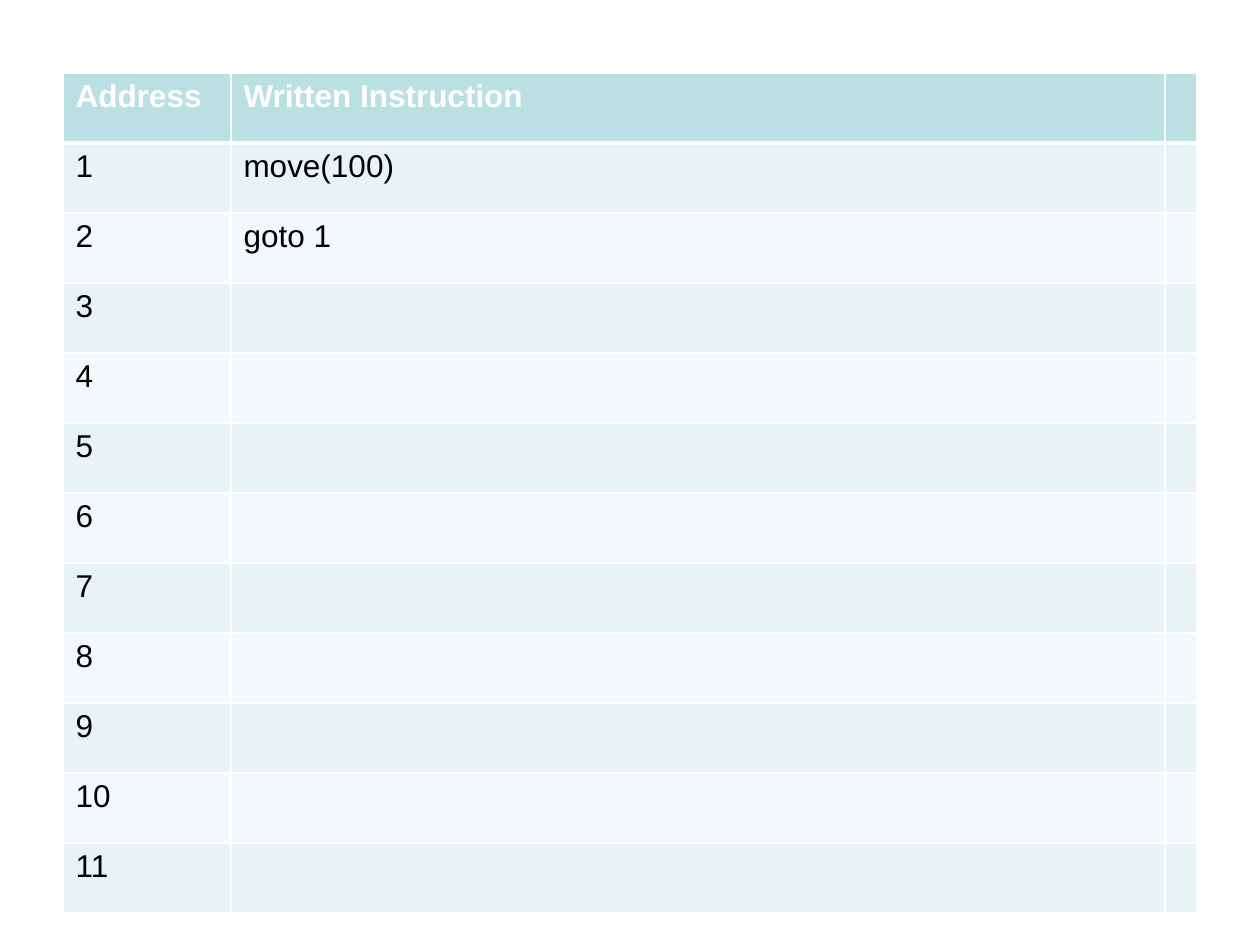
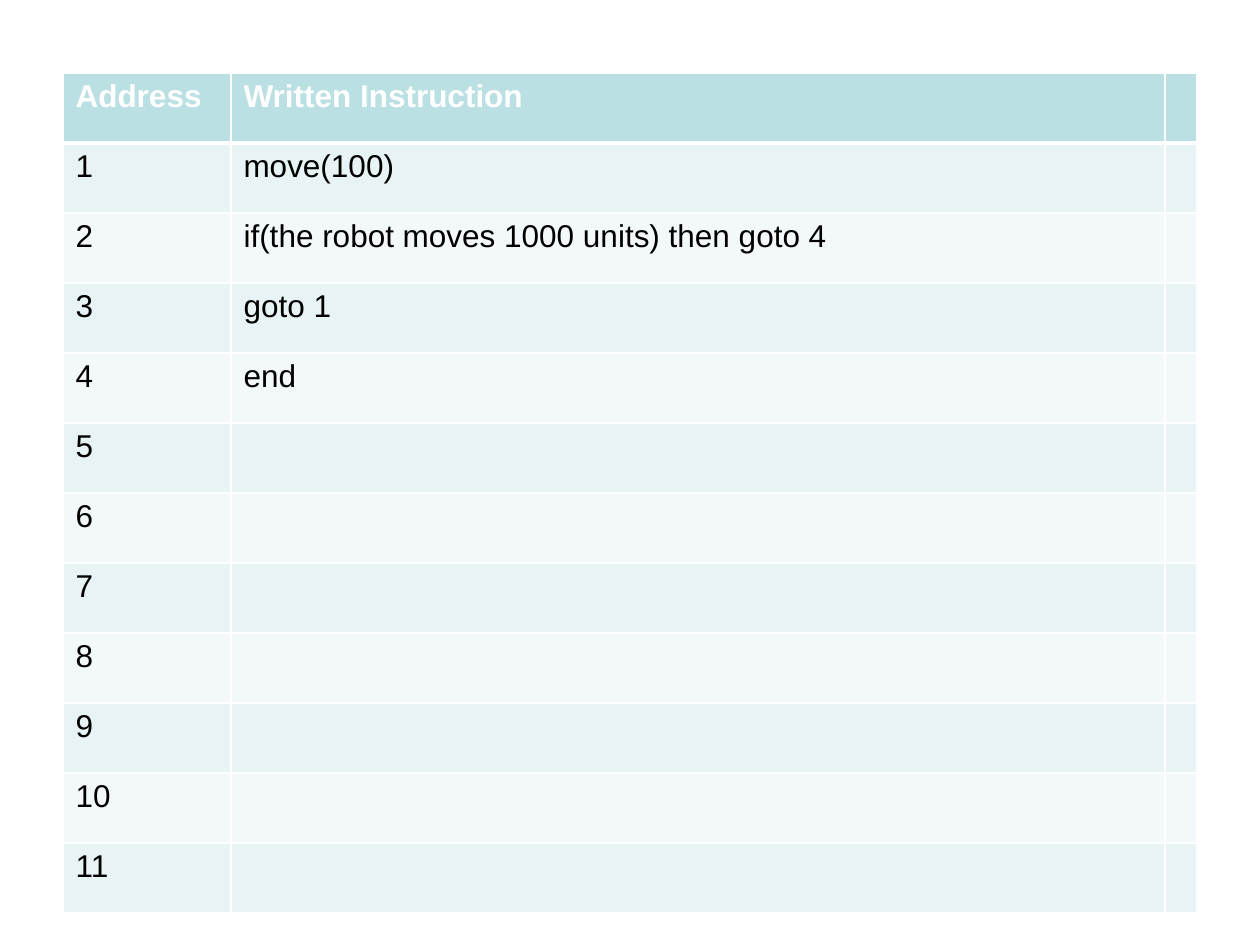
from dataclasses import dataclass

from lxml.etree import SubElement
from pptx import Presentation
from pptx.dml.color import RGBColor as Rgb
from pptx.oxml.ns import qn
from pptx.util import Pt

EMU_PER_PIXEL = 914400 / 126
ADDRESS_COUNT = 11
HEADINGS = ("Address", "Written Instruction", "")
PROGRAMS = (
    ("move(100)", "goto 1"),
    ("move(100)", "if(the robot moves 1000 units) then goto 4", "goto 1", "end"),
)


@dataclass(frozen=True)
class Theme:
    font: str = "Arial"
    text_size: int = 18
    header_text: str = "FFFFFF"
    body_text: str = "000000"
    header_fill: str = "BBE0E3"
    band_fills: tuple = ("E7F3F4", "F3F9FA")
    grid: str = "FFFFFF"
    thin: int = 1
    thick: int = 3


def px(length):
    return round(length * EMU_PER_PIXEL)


def write(frame, text, *, font, size, color, bold=False):
    run = frame.paragraphs[0].add_run()
    run.text = text
    run.font.name = font
    run.font.size = Pt(size)
    run.font.bold = bold
    run.font.color.rgb = Rgb.from_string(color)


class InstructionDeck:
    def __init__(self, theme):
        self.theme = theme
        self.deck = Presentation()
        self.deck.slide_width = px(1260)
        self.deck.slide_height = px(945)
        self.slide = None

    def add_slide(self):
        self.slide = self.deck.slides.add_slide(self.deck.slide_layouts[6])

    def draw_borders(self, cell, top, bottom):
        sides = {"L": self.theme.thin, "R": self.theme.thin, "T": top, "B": bottom}
        properties = cell._tc.get_or_add_tcPr()
        for side, width in sides.items():
            border = SubElement(properties, qn(f"a:ln{side}"), w=str(Pt(width)))
            fill = SubElement(border, qn("a:solidFill"))
            SubElement(fill, qn("a:srgbClr"), val=self.theme.grid)

    def fill_cell(self, cell, text, row):
        theme = self.theme
        is_header = row == 0
        self.draw_borders(
            cell,
            top=theme.thick if row == 1 else theme.thin,
            bottom=theme.thick if is_header else theme.thin,
        )
        background = theme.header_fill if is_header else theme.band_fills[(row - 1) % 2]
        cell.fill.solid()
        cell.fill.fore_color.rgb = Rgb.from_string(background)
        if text:
            write(
                cell.text_frame, text, font=theme.font, size=theme.text_size,
                color=theme.header_text if is_header else theme.body_text,
                bold=is_header,
            )

    def add_listing(self, records, left, top, column_widths, row_height):
        listing = self.slide.shapes.add_table(
            len(records), len(column_widths), px(left), px(top),
            px(sum(column_widths)), px(row_height * len(records)),
        ).table
        for column, width in zip(listing.columns, column_widths):
            column.width = px(width)
        for row, record in enumerate(records):
            listing.rows[row].height = px(row_height)
            for column, text in enumerate(record):
                self.fill_cell(listing.cell(row, column), text, row)

    def save(self):
        self.deck.save("out.pptx")


def memory_records(program):
    instructions = program + ("",) * (ADDRESS_COUNT - len(program))
    return [HEADINGS] + [
        (str(address), instruction, "")
        for address, instruction in enumerate(instructions, start=1)
    ]


lesson = InstructionDeck(Theme())
for program in PROGRAMS:
    lesson.add_slide()
    lesson.add_listing(
        memory_records(program), left=63, top=73,
        column_widths=(168, 934, 32), row_height=70,
    )
lesson.save()
